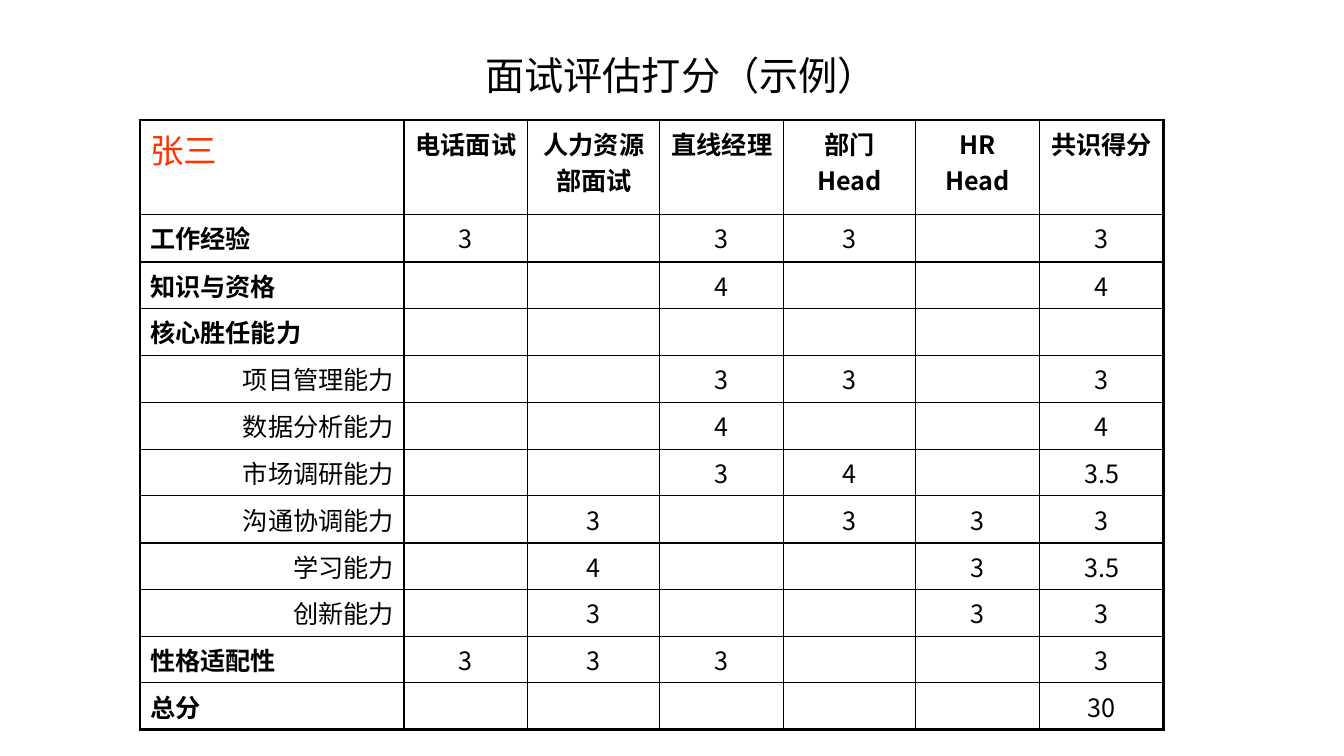
from dataclasses import dataclass

from lxml import etree
from pptx import Presentation
from pptx.dml.color import RGBColor
from pptx.enum.text import MSO_ANCHOR, PP_ALIGN
from pptx.oxml.ns import qn
from pptx.util import Inches, Pt

LEFT, CENTER, RIGHT = PP_ALIGN.LEFT, PP_ALIGN.CENTER, PP_ALIGN.RIGHT
TOP, MIDDLE = MSO_ANCHOR.TOP, MSO_ANCHOR.MIDDLE
TITLE_ONLY = 5


@dataclass(frozen=True)
class Theme:
    font: str = "Noto Sans CJK SC"
    black: str = "000000"
    red: str = "FF3300"
    title: int = 28
    name: int = 24
    body: int = 18
    inner_line: float = 1
    outer_line: float = 2.25


@dataclass(frozen=True)
class Criterion:
    label: str
    scores: tuple[str, ...]
    is_skill: bool = False


THEME = Theme()
CANDIDATE = "张三"
HEADERS = ("电话面试", "人力资源部面试", "直线经理", "部门Head", "HR Head", "共识得分")
CRITERIA = (
    Criterion("工作经验", ("3", "", "3", "3", "", "3")),
    Criterion("知识与资格", ("", "", "4", "", "", "4")),
    Criterion("核心胜任能力", ("",) * 6),
    Criterion("项目管理能力", ("", "", "3", "3", "", "3"), True),
    Criterion("数据分析能力", ("", "", "4", "", "", "4"), True),
    Criterion("市场调研能力", ("", "", "3", "4", "", "3.5"), True),
    Criterion("沟通协调能力", ("", "3", "", "3", "3", "3"), True),
    Criterion("学习能力", ("", "4", "", "", "3", "3.5"), True),
    Criterion("创新能力", ("", "3", "", "", "3", "3"), True),
    Criterion("性格适配性", ("3", "3", "3", "", "", "3")),
    Criterion("总分", ("", "", "", "", "", "30")),
)
COL_WIDTHS = (2.62, 1.23, 1.31, 1.23, 1.31, 1.23, 1.23)
HEADER_HEIGHT, ROW_HEIGHT, TALL_ROW_HEIGHT = 0.94, 0.46, 0.47
TALL_ROWS = (1, 4, 7)


def write(tf, text: str, size: int, align=LEFT, bold: bool = False,
          color: str = THEME.black) -> None:
    p = tf.paragraphs[0]
    p.alignment = align
    if not text:
        p.font.size = Pt(size)
        return
    r = p.add_run()
    r.text = text
    formats = {"size": Pt(size), "bold": bold, "name": THEME.font}
    for attr, value in formats.items():
        setattr(r.font, attr, value)
    r.font.color.rgb = RGBColor.from_string(color)
    ea = etree.Element(qn("a:ea"), typeface=THEME.font)
    r.font._element.find(qn("a:latin")).addnext(ea)


def set_borders(cell, outer: dict[str, bool]) -> None:
    """Draw the four cell edges, thicker where the edge is on the table frame."""
    tc_pr = cell._tc.get_or_add_tcPr()
    for side, is_outer in outer.items():
        width = THEME.outer_line if is_outer else THEME.inner_line
        ln = etree.SubElement(tc_pr, qn(f"a:ln{side}"), w=str(Pt(width)))
        fill = etree.SubElement(ln, qn("a:solidFill"))
        etree.SubElement(fill, qn("a:srgbClr"), val=THEME.black)


def add_title(slide, text: str) -> None:
    sp = slide.shapes.title
    box = {"left": 3.12, "top": 0.36, "width": 7.28, "height": 0.77}
    for attr, value in box.items():
        setattr(sp, attr, Inches(value))
    sp.text_frame.vertical_anchor = MIDDLE
    write(sp.text_frame, text, THEME.title, CENTER)


def row_height(row: int) -> float:
    if row == 0:
        return HEADER_HEIGHT
    return TALL_ROW_HEIGHT if row in TALL_ROWS else ROW_HEIGHT


def add_score_table(slide) -> None:
    n_rows, n_cols = len(CRITERIA) + 1, len(COL_WIDTHS)
    heights = [row_height(i) for i in range(n_rows)]
    table = slide.shapes.add_table(
        n_rows, n_cols, Inches(1.39), Inches(1.19),
        Inches(sum(COL_WIDTHS)), Inches(sum(heights))).table
    table.first_row = table.horz_banding = False
    for column, width in zip(table.columns, COL_WIDTHS):
        column.width = Inches(width)
    for row, height in zip(table.rows, heights):
        row.height = Inches(height)

    for i in range(n_rows):
        for j in range(n_cols):
            cell = table.cell(i, j)
            set_borders(cell, {"L": j == 0, "R": j == n_cols - 1,
                               "T": i == 0, "B": i == n_rows - 1})
            cell.fill.background()
            cell.vertical_anchor = TOP

    write(table.cell(0, 0).text_frame, CANDIDATE, THEME.name, color=THEME.red)
    for j, header in enumerate(HEADERS, 1):
        write(table.cell(0, j).text_frame, header, THEME.body, CENTER, bold=True)
    for i, criterion in enumerate(CRITERIA, 1):
        write(table.cell(i, 0).text_frame, criterion.label, THEME.body,
              RIGHT if criterion.is_skill else LEFT, bold=not criterion.is_skill)
        for j, score in enumerate(criterion.scores, 1):
            write(table.cell(i, j).text_frame, score, THEME.body, CENTER)


def main() -> None:
    prs = Presentation()
    prs.slide_width, prs.slide_height = Inches(13.34), Inches(7.5)
    slide = prs.slides.add_slide(prs.slide_layouts[TITLE_ONLY])
    add_title(slide, "面试评估打分（示例）")
    add_score_table(slide)
    prs.save("out.pptx")


if __name__ == "__main__":
    main()
